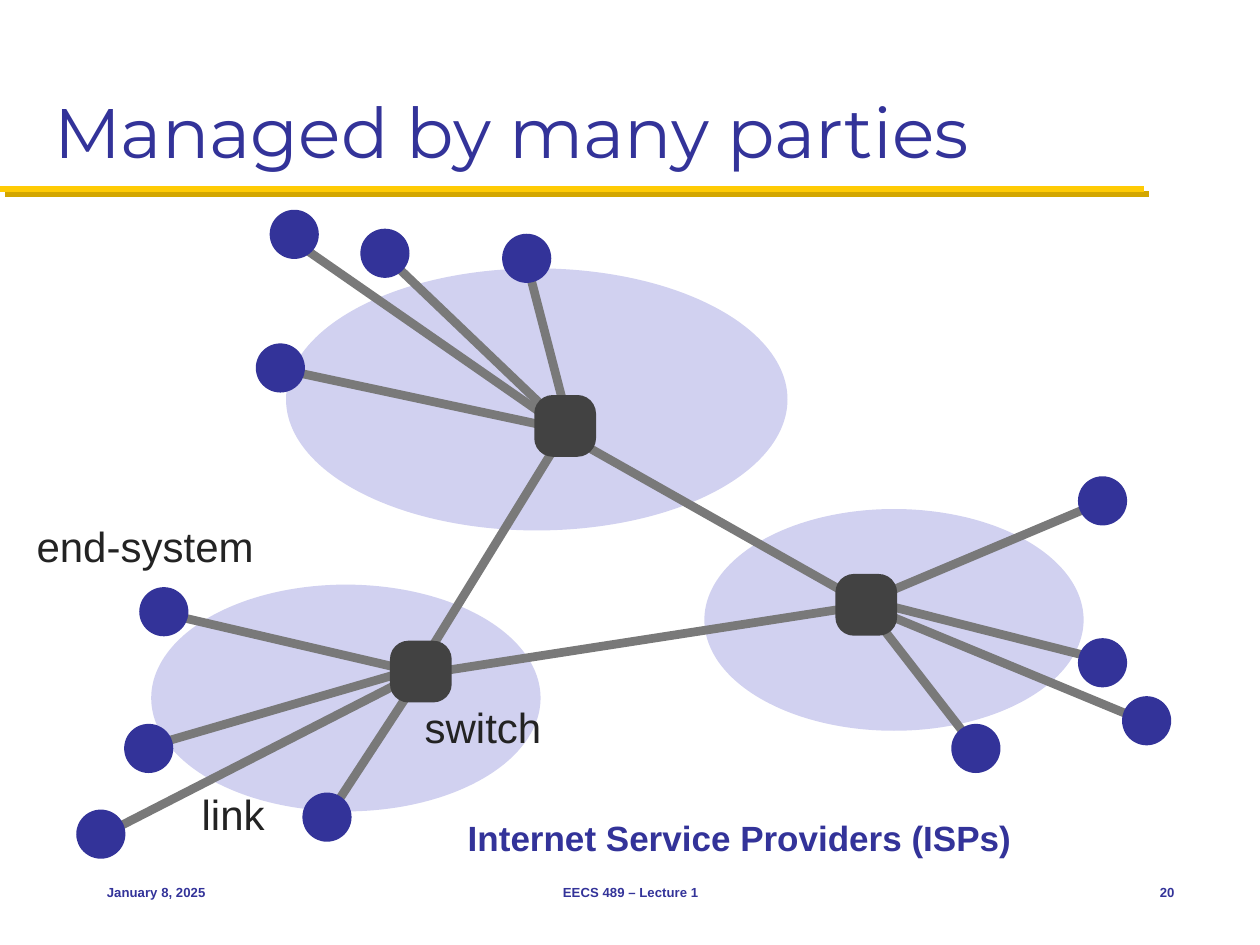
from lxml import etree
from pptx import Presentation
from pptx.dml.color import RGBColor
from pptx.enum.shapes import MSO_CONNECTOR, MSO_SHAPE
from pptx.enum.text import MSO_ANCHOR, MSO_AUTO_SIZE, PP_ALIGN
from pptx.oxml.ns import qn
from pptx.util import Inches, Pt

LINE = MSO_CONNECTOR.STRAIGHT
OVAL, BOX = MSO_SHAPE.OVAL, MSO_SHAPE.ROUNDED_RECTANGLE
LEFT, MID, RIGHT = PP_ALIGN.LEFT, PP_ALIGN.CENTER, PP_ALIGN.RIGHT
CENTER, BOTTOM = MSO_ANCHOR.MIDDLE, MSO_ANCHOR.BOTTOM
FIXED = MSO_AUTO_SIZE.NONE

COLS, ROWS, CELL = 100, 75, 0.1
NAVY, LILAC, GRAY, DARK, INK = "333399", "D1D1F0", "797979", "424242", "232323"
GOLD, SHADE = "FFCB05", "D3A600"
HOST, HUB = 3.9, 4.9

CLOUDS = [(55.9, 40.4, 30.1, 17.6), (22.7, 21.3, 39.8, 20.8), (12, 46.4, 30.9, 18)]
HUBS = [(44.85, 33.8), (33.4, 53.3), (68.75, 48)]
HOSTS = [
    (41.8, 20.5), (91, 57.2), (8, 66.2), (22.25, 29.2), (13, 48.55),
    (25.95, 64.85), (23.35, 18.6), (30.55, 20.1), (11.8, 59.4),
    (87.5, 39.75), (77.45, 59.4), (87.5, 52.6),
]
LINKS = [
    (41.9, 21.2, 45.3, 34.3), (91.2, 57.4, 68.5, 48), (32.7, 53.7, 7.7, 66.5),
    (22.3, 29.3, 44.3, 34), (12.7, 48.6, 32.9, 53.3), (33.3, 53.7, 26.3, 64.4),
    (23.4, 19.2, 44, 33.5), (30.6, 20.3, 44.3, 33.4), (11.6, 59.3, 32.9, 53.1),
    (87.3, 39.9, 68.3, 47.9), (69, 48.5, 77.3, 59.2), (87.2, 52.3, 69, 47.7),
    (44.2, 34.1, 68.8, 48), (44.9, 34.1, 33.4, 52.8), (69, 48, 33.5, 53.5),
]
LABELS = [
    ("end-system", (2.5, 40.9, 22.8, 4.8), True),
    ("link", (15.6, 62.2, 5.9, 4.8), False),
    ("switch", (33.3, 55.3, 10.2, 4.8), False),
]
FOOTER = [
    ("January 8, 2025", (7.5, 68.3, 20.8, 5), LEFT),
    ("EECS 489 – Lecture 1", (34.2, 68.3, 31.7, 5), MID),
    ("20", (87.5, 68.3, 6.7, 5), RIGHT),
]


def rgb(code):
    """Turn a hex string into a colour."""
    return RGBColor.from_string(code)


def grid(*cells):
    """Turn grid cells into lengths."""
    return [Inches(n * CELL) for n in cells]


def add_line(slide, ends, color, width):
    """Draw a straight line and return its effect list."""
    line = slide.shapes.add_connector(LINE, *grid(*ends))
    line.line.color.rgb = rgb(color)
    line.line.width = Pt(width)
    return etree.SubElement(line._element.spPr, qn("a:effectLst"))


def add_rule(slide):
    """Draw the gold rule with its hard shadow."""
    fx = add_line(slide, (0, 15, 90.8, 15), GOLD, 3.5)
    drop = etree.SubElement(fx, qn("a:outerShdw"), blurRad="0", algn="ctr",
                            dist=str(Pt(4.2)), dir="2700000", rotWithShape="0")
    etree.SubElement(drop, qn("a:srgbClr"), val=SHADE)


def add_form(slide, kind, area, color):
    """Draw a filled shape without outline."""
    form = slide.shapes.add_shape(kind, *grid(*area))
    form.shadow.inherit = False
    form.fill.solid()
    form.fill.fore_color.rgb = rgb(color)
    form.line.fill.background()
    return form


def add_node(slide, kind, spot, size, color):
    """Draw a square shape centred on a spot."""
    x, y = spot
    return add_form(slide, kind, (x - size / 2, y - size / 2, size, size), color)


def write(frame, text, size, color, font="Arial", bold=False, align=LEFT):
    """Put one run of text into a frame."""
    para = frame.paragraphs[0]
    para.alignment = align
    run = para.add_run()
    run.text = text
    run.font.name, run.font.size, run.font.bold = font, Pt(size), bold
    run.font.color.rgb = rgb(color)


def add_text(slide, text, area, size, color, pad=(0.04, 0.04), wrap=False, **look):
    """Add a vertically centred text box."""
    frame = slide.shapes.add_textbox(*grid(*area)).text_frame
    frame.word_wrap = wrap
    frame.vertical_anchor = CENTER
    frame.margin_left = frame.margin_right = Inches(pad[0])
    frame.margin_top = frame.margin_bottom = Inches(pad[1])
    write(frame, text, size, color, **look)


def add_title(slide, text):
    """Place and fill the title."""
    title = slide.shapes.title
    title.left, title.top, title.width, title.height = grid(3.3, 1.7, 93.3, 12.5)
    frame = title.text_frame
    frame.auto_size = FIXED
    frame.vertical_anchor = BOTTOM
    write(frame, text, 40, NAVY, font="Montserrat")


def add_net(slide):
    """Draw the clouds, links, hosts and switches."""
    for area in CLOUDS:
        add_form(slide, OVAL, area, LILAC)
    for ends in LINKS:
        add_line(slide, ends, GRAY, 5)
    for spot in HOSTS:
        add_node(slide, OVAL, spot, HOST, NAVY)
    for spot in HUBS:
        add_node(slide, BOX, spot, HUB, DARK).adjustments[0] = 0.3


def main():
    """Build and save the slide."""
    deck = Presentation()
    deck.slide_width, deck.slide_height = grid(COLS, ROWS)
    slide = deck.slides.add_slide(deck.slide_layouts[5])
    add_rule(slide)
    add_net(slide)
    add_title(slide, "Managed by many parties")
    add_text(slide, "Internet Service Providers (ISPs)", (31.6, 64.4, 54.2, 4.2),
             20, NAVY, wrap=True, bold=True, align=MID)
    for text, area, wrap in LABELS:
        add_text(slide, text, area, 24, INK, wrap=wrap)
    for text, area, align in FOOTER:
        add_text(slide, text, area, 7.5, NAVY, pad=(0.1, 0.05), wrap=True,
                 bold=True, align=align)
    deck.save("out.pptx")


if __name__ == "__main__":
    main()
